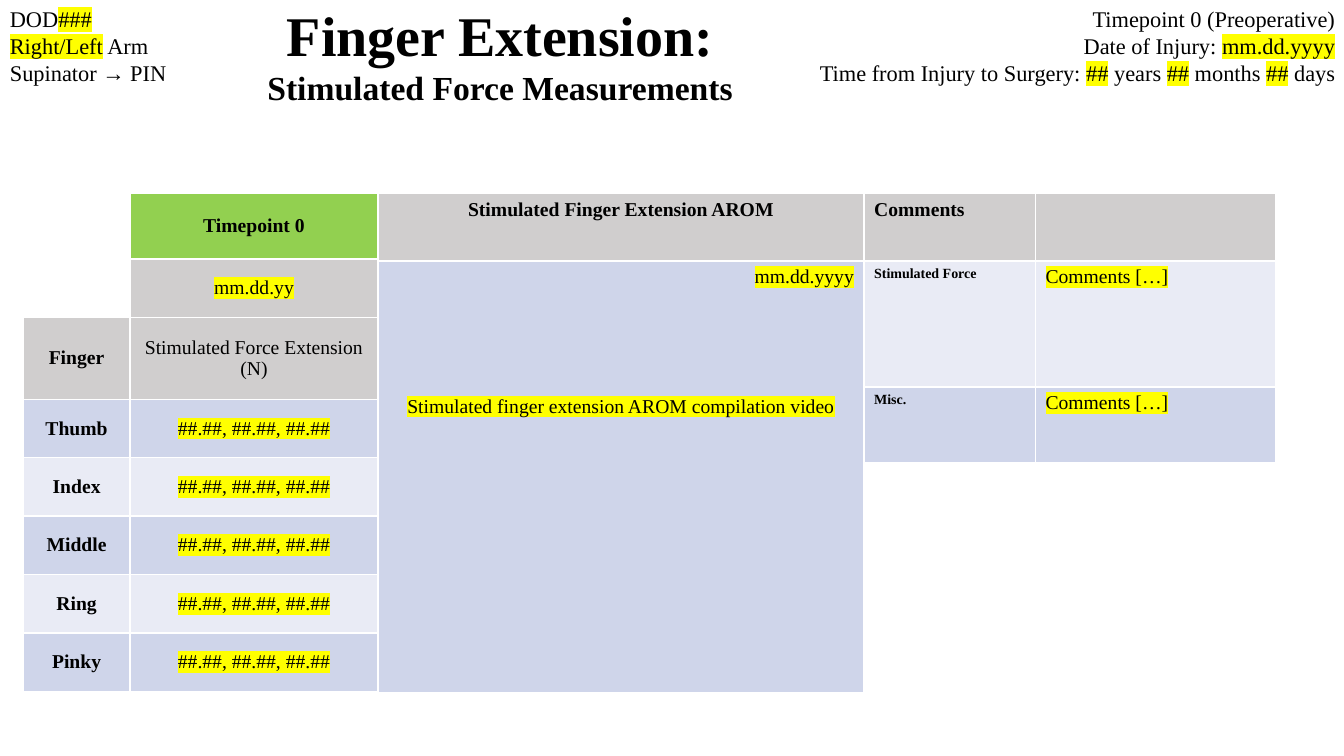
from lxml import etree
from pptx import Presentation
from pptx.dml.color import RGBColor
from pptx.enum.text import MSO_ANCHOR as Anchor, PP_ALIGN as Align
from pptx.oxml.ns import qn
from pptx.util import Inches, Pt

FONT = "Times New Roman"
BLACK = RGBColor(0x00, 0x00, 0x00)
WHITE = RGBColor(0xFF, 0xFF, 0xFF)
YELLOW = RGBColor(0xFF, 0xFF, 0x00)
GREEN = RGBColor(0x92, 0xD0, 0x50)
GRAY = RGBColor(0xD0, 0xCE, 0xCE)
BLUE = RGBColor(0xCF, 0xD5, 0xEA)
PALE = RGBColor(0xE9, 0xEB, 0xF5)


def write(paragraph, text, size, bold=False, align=Align.LEFT):
    """Write one paragraph; the parts between bars are highlighted."""
    paragraph.alignment = align
    for index, part in enumerate(text.split("|")):
        if not part:
            continue
        run = paragraph.add_run()
        run.text = part
        run.font.size = Pt(size)
        run.font.bold = bold
        run.font.color.rgb = BLACK
        if index % 2:
            highlight = etree.Element(qn("a:highlight"))
            etree.SubElement(highlight, qn("a:srgbClr"), val=str(YELLOW))
            run.font.fill  # the text fill precedes the highlight
            run.font._element.find(qn("a:solidFill")).addnext(highlight)
        run.font.name = FONT


def add_grid(left, top, widths, heights):
    """Add a table with the given column widths and row heights."""
    frame = slide.shapes.add_table(len(heights), len(widths), Inches(left), Inches(top),
                                   Inches(sum(widths)), Inches(sum(heights)))
    table = frame.table
    table.horz_banding = False
    for column, width in zip(table.columns, widths):
        column.width = Inches(width)
    for row, height in zip(table.rows, heights):
        row.height = Inches(height)
    return table


presentation = Presentation()
presentation.slide_width = Inches(13.33)
presentation.slide_height = Inches(7.5)
slide = presentation.slides.add_slide(presentation.slide_layouts[5])

# Title
title = slide.shapes.title
title.left, title.top, title.width, title.height = (
    Inches(0), Inches(0.15), Inches(9.92), Inches(0.77))
title_frame = title.text_frame
title_frame.vertical_anchor = Anchor.MIDDLE
write(title_frame.paragraphs[0], "Finger Extension:", 40, True, Align.CENTER)
write(title_frame.add_paragraph(), "Stimulated Force Measurements", 24, True, Align.CENTER)

# Patient and timing details in the top corners
corners = [
    (0, 3.16, Align.LEFT,
     ["DOD|###|", "|Right/Left| Arm", "Supinator → PIN"]),
    (7.93, 5.41, Align.RIGHT,
     ["Timepoint 0 (Preoperative)", "Date of Injury: |mm.dd.yyyy|",
      "Time from Injury to Surgery: |##| years |##| months |##| days"]),
]
for left, width, align, lines in corners:
    box = slide.shapes.add_textbox(Inches(left), Inches(0), Inches(width), Inches(0.91))
    box.text_frame.word_wrap = True
    for index, line in enumerate(lines):
        paragraph = box.text_frame.add_paragraph() if index else box.text_frame.paragraphs[0]
        write(paragraph, line, 16, align=align)

# Force table: one row per finger below three heading rows
force_rows = [
    ("", WHITE, "Timepoint 0", GREEN),
    ("", WHITE, "|mm.dd.yy|", GRAY),
    ("Finger", GRAY, "Stimulated Force Extension (N)", GRAY),
]
for index, finger in enumerate(["Thumb", "Index", "Middle", "Ring", "Pinky"]):
    band = PALE if index % 2 else BLUE
    force_rows.append((finger, band, "|##.##, ##.##, ##.##|", band))

force_table = add_grid(0.23, 1.92, [1.06, 2.46], [0.65, 0.58, 0.81] + [0.58] * 5)
for row, (finger, finger_fill, force, force_fill) in enumerate(force_rows):
    for column, (text, color) in enumerate([(finger, finger_fill), (force, force_fill)]):
        cell = force_table.cell(row, column)
        cell.fill.solid()
        cell.fill.fore_color.rgb = color
        cell.vertical_anchor = Anchor.MIDDLE
        write(cell.text_frame.paragraphs[0], text, 14,
              column == 0 or row == 0, Align.CENTER)

# Video and comments table
video_table = add_grid(3.75, 1.92, [4.82, 1.7, 1.04, 1.34], [0.67, 1.25, 0.75, 2.28])
video_table.cell(1, 0).merge(video_table.cell(3, 0))
comment_rows = [
    ("Comments", 14, "", GRAY),
    ("Stimulated Force", 10, "|Comments […]|", PALE),
    ("Misc.", 10, "|Comments […]|", BLUE),
]
for row, (label, size, comment, color) in enumerate(comment_rows):
    video_table.cell(row, 2).merge(video_table.cell(row, 3))
    for column in (1, 2):
        cell = video_table.cell(row, column)
        cell.fill.solid()
        cell.fill.fore_color.rgb = color
    write(video_table.cell(row, 1).text_frame.paragraphs[0], label, size, True)
    write(video_table.cell(row, 2).text_frame.paragraphs[0], comment, 14)
for column in (1, 2, 3):
    video_table.cell(3, column).fill.background()

for row, color in enumerate([GRAY, BLUE]):
    cell = video_table.cell(row, 0)
    cell.fill.solid()
    cell.fill.fore_color.rgb = color
write(video_table.cell(0, 0).text_frame.paragraphs[0],
      "Stimulated Finger Extension AROM", 14, True, Align.CENTER)
video_frame = video_table.cell(1, 0).text_frame
write(video_frame.paragraphs[0], "|mm.dd.yyyy|", 14, align=Align.RIGHT)
caption = video_frame.add_paragraph()
caption.space_before = Pt(77)
write(caption, "|Stimulated finger extension AROM compilation video|", 14, align=Align.CENTER)

presentation.save("out.pptx")
